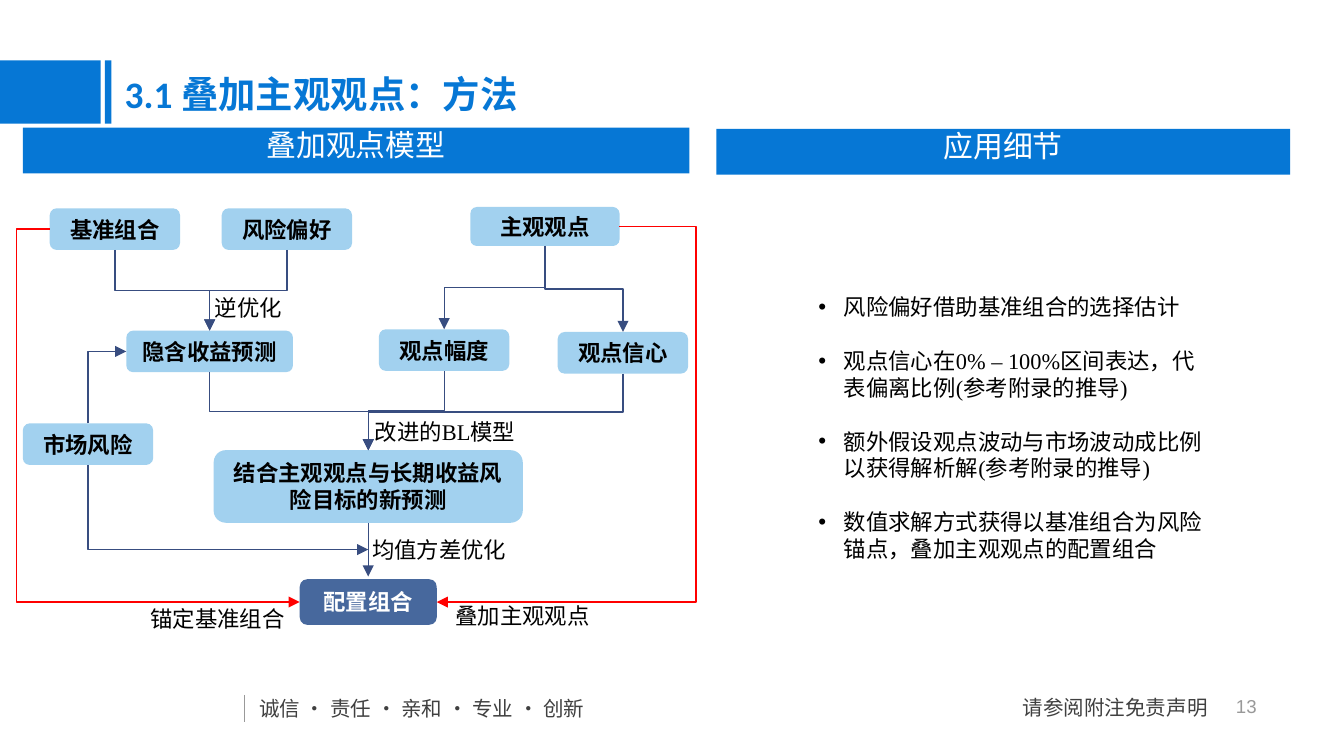
from lxml import etree
from pptx import Presentation
from pptx import util as u
from pptx.dml.color import RGBColor
from pptx.enum import shapes, text
from pptx.oxml.ns import qn

BLUE = RGBColor(0x06, 0x77, 0xD5)
PALE = RGBColor(0xA2, 0xD1, 0xEF)
DEEP = RGBColor(0x47, 0x68, 0x9D)
NAVY = RGBColor(0x38, 0x4D, 0x80)
RED = RGBColor(0xFF, 0x00, 0x00)
GREY = RGBColor(0x99, 0x99, 0x99)
DARK = RGBColor(0x40, 0x40, 0x40)
BLACK = RGBColor(0x00, 0x00, 0x00)
WHITE = RGBColor(0xFF, 0xFF, 0xFF)
SANS, SERIF = "Noto Sans CJK SC", "Times New Roman"
KIND, LINK = shapes.MSO_SHAPE, shapes.MSO_CONNECTOR
MID = text.PP_ALIGN.CENTER

deck = Presentation()
deck.slide_width = u.Inches(10)
deck.slide_height = u.Inches(10 * 9 / 16)
slide = deck.slides.add_slide(deck.slide_layouts[6])
art = slide.shapes


def put(spot, lines=(), kind=None, fill=None, size=12, color=BLACK, bold=False,
        font=SERIF, align=text.PP_ALIGN.LEFT, frame=()):
    """Add a filled shape, or a text box if no kind is given, with its paragraphs."""
    area = [u.Inches(v) for v in spot]
    if kind is None:
        item = art.add_textbox(*area)
    else:
        item = art.add_shape(kind, *area)
        item.shadow.inherit = False
        item.fill.solid()
        item.fill.fore_color.rgb = fill
        item.line.fill.background()
    body = item.text_frame
    for name, value in {"word_wrap": True, **dict(frame)}.items():
        setattr(body, name, value)
    for i, line in enumerate(lines):
        para = body.paragraphs[0] if i == 0 else body.add_paragraph()
        para.alignment = align
        run = para.add_run()
        run.text = line
        for name, value in {"size": u.Pt(size), "bold": bold, "name": font}.items():
            setattr(run.font, name, value)
        run.font.color.rgb = color
        etree.SubElement(run.font._element, qn("a:ea"), typeface=SANS)
    return item


def link(kind, start, end, color=NAVY, turn=0, adj=None, corner=False, head=True):
    """Draw a connector; turn is the angle of its box when it leaves vertically."""
    (x1, y1), (x2, y2) = start, end
    if turn:
        cx, cy = (x1 + x2) / 2, (y1 + y2) / 2
        dx, dy = abs(y2 - y1) / 2, abs(x2 - x1) / 2
        # A box turned by 270 degrees runs downwards only when mirrored.
        if turn == 270 and y2 > y1:
            dx = -dx
        x1, y1, x2, y2 = cx - dx, cy - dy, cx + dx, cy + dy
    wire = art.add_connector(kind, *[u.Inches(v) for v in (x1, y1, x2, y2)])
    wire.line.color.rgb = color
    wire.line.width = u.Pt(0.75)
    prop = wire._element.spPr
    if turn:
        prop.find(qn("a:xfrm")).set("rot", str(turn * 60000))
    geom = prop.find(qn("a:prstGeom"))
    if corner:
        geom.set("prst", "bentConnector2")
    if adj is not None:
        etree.SubElement(geom.find(qn("a:avLst")), qn("a:gd"),
                         name="adj1", fmla=f"val {round(adj * 100000)}")
    if head:
        etree.SubElement(wire.line._get_or_add_ln(), qn("a:tailEnd"), type="triangle")
    etree.SubElement(prop, qn("a:effectLst"))


# Footer
put((1.83, 5.13, 2.94, 0.29), ["诚信 · 责任 · 亲和 · 专业 · 创新"],
    size=11, color=DARK, font=SANS)
link(LINK.STRAIGHT, (1.82, 5.17), (1.82, 5.37), GREY, head=False)
put((7.51, 5.12, 1.66, 0.29), ["请参阅附注免责声明"], size=11, color=DARK, font=SANS)
flush = {f"margin_{side}": 0 for side in ("left", "right", "top", "bottom")}
put((9.17, 5.17, 0.18, 0.17), ["13"], size=10, color=GREY, font="Arial",
    align=text.PP_ALIGN.RIGHT, frame={**flush, "word_wrap": False})

# Title and section banners
for left, width in ((0, 0.75), (0.78, 0.05)):
    put((left, 0.45, width, 0.47), kind=KIND.RECTANGLE, fill=BLUE)
put((0.83, 0.48, 8.43, 0.44), ["3.1 叠加主观观点：方法"],
    size=20, color=BLUE, bold=True, font="Calibri")
for left, top, width, name in ((0.17, 0.95, 4.96, "叠加观点模型"),
                               (5.33, 0.96, 4.27, "应用细节")):
    put((left, top, width, 0.34), kind=KIND.RECTANGLE, fill=BLUE)
    put((left, top - 0.06, width, 0.37), [name], size=16, color=WHITE,
        font=SANS, align=MID)

# Flow chart boxes
mix = "结合主观观点与长期收益风险目标的新预测"
boxes = {
    "基准组合": (0.37, 1.55, 0.97, 0.31),
    "风险偏好": (1.65, 1.55, 0.97, 0.31),
    "主观观点": (3.5, 1.54, 1.11, 0.29),
    "隐含收益预测": (0.94, 2.46, 1.24, 0.31),
    "观点幅度": (2.82, 2.45, 0.97, 0.31),
    "观点信心": (4.15, 2.47, 0.97, 0.31),
    "市场风险": (0.17, 3.15, 0.97, 0.31),
    mix: (1.59, 3.35, 2.3, 0.54),
    "配置组合": (2.23, 4.31, 1.02, 0.34),
}
tight = {"margin_left": u.Inches(0.05), "margin_right": u.Inches(0.05),
         "vertical_anchor": text.MSO_ANCHOR.MIDDLE}
ports = {}
for name, spot in boxes.items():
    last = name == "配置组合"
    put(spot, [name], KIND.ROUNDED_RECTANGLE, DEEP if last else PALE,
        color=WHITE if last else BLACK, bold=True, font=SANS, align=MID, frame=tight)
    x, y, w, h = spot
    ports[name] = {"top": (x + w / 2, y), "low": (x + w / 2, y + h),
                   "left": (x, y + h / 2), "right": (x + w, y + h / 2)}

# Flow chart arrows
for a, b in (("基准组合", "隐含收益预测"), ("风险偏好", "隐含收益预测"),
             ("主观观点", "观点幅度"), ("主观观点", "观点信心"),
             ("隐含收益预测", mix), ("观点幅度", mix), ("观点信心", mix)):
    start, end = ports[a]["low"], ports[b]["top"]
    link(LINK.ELBOW, start, end, turn=270 if end[0] > start[0] else 90)
link(LINK.STRAIGHT, ports[mix]["low"], (2.74, 4.29))
risk, goal = ports["市场风险"], ports["配置组合"]
for start, end in ((risk["top"], ports["隐含收益预测"]["left"]),
                   (risk["low"], (2.74, 4.09))):
    link(LINK.ELBOW, start, end, turn=270, corner=True)
for name, side, lane in (("基准组合", "left", 0.12), ("主观观点", "right", 5.18)):
    start, end = ports[name][side], goal[side]
    link(LINK.ELBOW, start, end, RED, adj=(lane - start[0]) / (end[0] - start[0]))

# Arrow labels
for left, top, width, name in (
        (1.5, 2.14, 0.79, "逆优化"), (2.69, 3.06, 1.45, "改进的BL模型"),
        (2.67, 3.94, 1.36, "均值方差优化"), (1.02, 4.45, 1.21, "锚定基准组合"),
        (3.29, 4.43, 1.35, "叠加主观观点")):
    put((left, top, width, 0.3), [name])

# Bullet list
notes = put((5.99, 2.13, 3.15, 2.12), [
    "风险偏好借助基准组合的选择估计",
    "观点信心在0% – 100%区间表达，代表偏离比例(参考附录的推导)",
    "额外假设观点波动与市场波动成比例以获得解析解(参考附录的推导)",
    "数值求解方式获得以基准组合为风险锚点，叠加主观观点的配置组合",
])
for i, para in enumerate(notes.text_frame.paragraphs):
    para.space_before = u.Pt(14.5 if i else 0)
    prop = para._p.get_or_add_pPr()
    prop.set("marL", str(u.Inches(0.19)))
    prop.set("indent", str(u.Inches(-0.19)))
    etree.SubElement(prop, qn("a:buFont"), typeface="Arial")
    etree.SubElement(prop, qn("a:buChar"), char="•")

deck.save("out.pptx")
